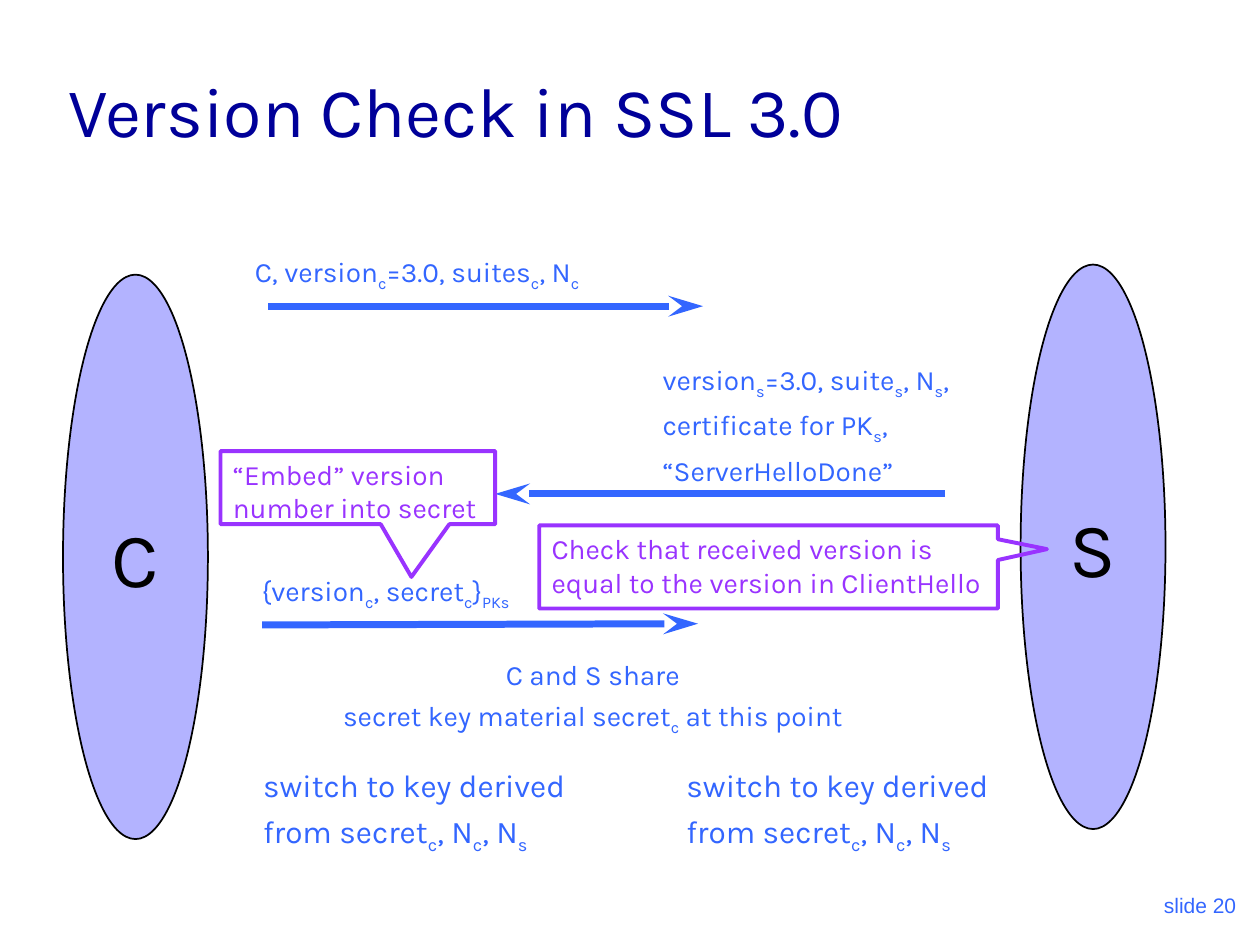
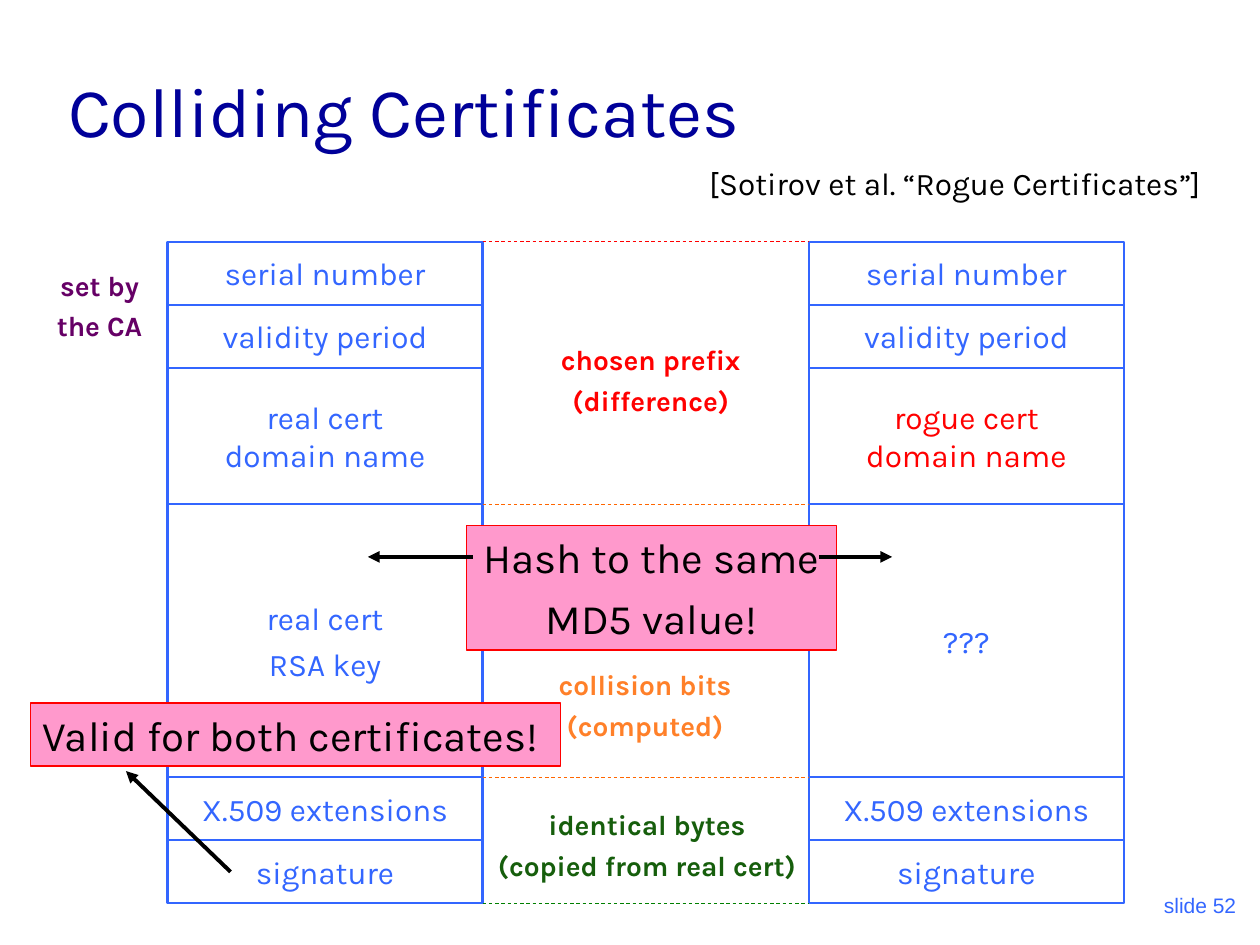
from itertools import accumulate

from lxml import etree
from pptx import Presentation
from pptx.dml.color import RGBColor
from pptx.enum.dml import MSO_LINE
from pptx.enum.shapes import MSO_CONNECTOR, MSO_SHAPE as Shape
from pptx.enum.text import MSO_ANCHOR as Anchor, PP_ALIGN as Align
from pptx.oxml.ns import qn
from pptx.util import Inches, Pt

BLUE, NAVY, LILAC, VIOLET = "3366FF", "000099", "B3B3FF", "9933FF"
BLACK, WHITE, RED, PINK = "000000", "FFFFFF", "FF0000", "FF99CC"
PLUM, ORANGE, GREEN = "660066", "FF8029", "165E0C"
FONT = "Karla"
LEFT, CENTER, RIGHT = Align.LEFT, Align.CENTER, Align.RIGHT

# Text between tildes is subscript. Boxes are left, top, width, height in inches.
PARTIES = [("C", (0.5, 2.18, 1.15, 4.48)), ("S", (8.1, 2.1, 1.15, 4.48))]
SWITCH_KEY = ["switch to key derived", "from secret~c~, N~c~, N~s~"]
MESSAGES = [  # paragraphs, box, size, alignment
    (["C, version~c~=3.0, suites~c~, N~c~"], (1.88, 1.97, 2.86, 0.41), 16, CENTER),
    (["version~s~=3.0, suite~s~, N~s~,", "certificate for PK~s~,", "“ServerHelloDone”"],
     (5.16, 2.83, 2.55, 1.09), 16, LEFT),
    (["{version~c~, secret~c~}~PKs~"], (1.95, 4.5, 2.22, 0.41), 16, CENTER),
    (["C and S share", "secret key material secret~c~ at this point"],
     (2.59, 5.17, 4.23, 0.73), 16, CENTER),
    (SWITCH_KEY, (1.99, 6.03, 2.67, 0.81), 18, LEFT),
    (SWITCH_KEY, (5.35, 6.03, 2.67, 0.81), 18, LEFT),
]
MESSAGE_ARROWS = [  # from, to
    ((2.13, 2.43), (5.58, 2.43)),
    ((7.5, 3.92), (3.93, 3.92)),
    ((2.08, 4.96), (5.54, 4.95)),
]
CALLOUTS = [  # text, box, offset of the tip from the centre
    ("“Embed” version number into secret", (1.75, 3.58, 2.18, 0.58), (0.195, 1.223)),
    ("Check that received version is equal to the version in ClientHello",
     (4.28, 4.17, 3.64, 0.66), (0.607, -0.214)),
]

CERTIFICATE_TOP, CERTIFICATE_WIDTH = 1.92, 2.5
REAL_LEFT, ROGUE_LEFT = 1.33, 6.42
ROWS = [  # height, real certificate, rogue certificate, rogue text colour
    (0.5, ["serial number"], ["serial number"], BLUE),
    (0.5, ["validity period"], ["validity period"], BLUE),
    (1.08, ["real cert\ndomain name"], ["rogue cert\ndomain name"], RED),
    (2.17, ["real cert", "RSA key"], ["???"], BLUE),
    (0.5, ["X.509 extensions"], ["X.509 extensions"], BLUE),
    (0.5, ["signature"], ["signature"], BLUE),
]
SECTION_EDGES = [(0, RED), (3, "FF6600"), (4, "FF6600"), (6, "008000")]  # row edge, colour
SECTION_LABELS = [
    (["identical bytes", "(copied from real cert)"], (3.8, 6.36, 2.67, 0.69), GREEN),
    (["collision bits", "(computed)"], (4.33, 5.25, 1.58, 0.69), ORANGE),
    (["chosen prefix", "(difference)"], (4.32, 2.67, 1.69, 0.69), RED),
    (["set by", "the CA"], (0.33, 2.08, 0.92, 0.69), PLUM),
]
CITATION = ["[Sotirov et al. “Rogue Certificates”]"]
REMARKS = [
    (["Hash to the same", "MD5 value!"], (3.7, 4.17, 2.94, 0.99), CENTER),
    (["Valid for both certificates!"], (0.24, 5.58, 4.21, 0.5), LEFT),
]
REMARK_ARROWS = [
    ((6.5, 4.42), (7.08, 4.42)),
    ((1.83, 6.92), (1, 6.12)),
    ((3.75, 4.42), (2.92, 4.42)),
]


def rgb(color):
    return RGBColor.from_string(color)


def add_run(paragraph, text, size, color, bold, font, subscript):
    run = paragraph.add_run()
    run.text = text
    run.font.name = font
    run.font.size = Pt(size)
    run.font.bold = bold
    run.font.color.rgb = rgb(color)
    if subscript:
        run._r.get_or_add_rPr().set("baseline", "-25000")


def write(shape, paragraphs, size, color, align=LEFT, anchor=Anchor.TOP,
          bold=False, font=FONT, wrap=False):
    """Fill a shape with text; tildes enclose subscripts, a newline breaks the line."""
    frame = shape.text_frame
    frame.word_wrap = wrap
    frame.vertical_anchor = anchor
    for index, text in enumerate(paragraphs):
        paragraph = frame.add_paragraph() if index else frame.paragraphs[0]
        paragraph.alignment = align
        paragraph.space_before = Pt(size / 4 if index else 0)
        for line_index, line in enumerate(text.split("\n")):
            if line_index:
                paragraph.add_line_break()
            for part_index, part in enumerate(line.split("~")):
                if part:
                    add_run(paragraph, part, size, color, bold, font, part_index % 2 == 1)


def add_text(slide, box, paragraphs, size, color, **style):
    textbox = slide.shapes.add_textbox(*map(Inches, box))
    write(textbox, paragraphs, size, color, **style)


def add_shape(slide, kind, box, fill=None, line=None, line_width=1.0):
    shape = slide.shapes.add_shape(kind, *map(Inches, box))
    shape.shadow.inherit = False
    if fill:
        shape.fill.solid()
        shape.fill.fore_color.rgb = rgb(fill)
    else:
        shape.fill.background()
    if line:
        shape.line.color.rgb = rgb(line)
        shape.line.width = Pt(line_width)
    else:
        shape.line.fill.background()
    return shape


def add_line(slide, start, end, color, width, dashed=False, arrow=None, arrow_length="med"):
    connector = slide.shapes.add_connector(
        MSO_CONNECTOR.STRAIGHT, *map(Inches, (*start, *end)))
    connector.line.color.rgb = rgb(color)
    connector.line.width = Pt(width)
    if dashed:
        connector.line.dash_style = MSO_LINE.DASH
    if arrow:
        etree.SubElement(connector.line._get_or_add_ln(), qn("a:tailEnd"),
                         type=arrow, w="med", len=arrow_length)
    etree.SubElement(connector._element.spPr, qn("a:effectLst"))


def start_slide(presentation, title_text, number):
    """Add a slide with the shared title and slide number."""
    slide = presentation.slides.add_slide(presentation.slide_layouts[5])
    title = slide.shapes.title
    title.left, title.top, title.width, title.height = map(Inches, (0.44, 0.25, 8.5, 1))
    write(title, [title_text], 40, NAVY, anchor=Anchor.BOTTOM, wrap=True)
    add_text(slide, (7.83, 6.83, 2.08, 0.5), [f"slide {number}"], 12, BLUE,
             align=RIGHT, anchor=Anchor.BOTTOM, font="Arial", wrap=True)
    return slide


def build_version_check(presentation):
    slide = start_slide(presentation, "Version Check in SSL 3.0", 20)
    for name, box in PARTIES:
        party = add_shape(slide, Shape.OVAL, box, LILAC, BLACK)
        write(party, [name], 44, BLACK, align=CENTER, anchor=Anchor.MIDDLE)
    for start, end in MESSAGE_ARROWS:
        add_line(slide, start, end, BLUE, 4, arrow="stealth", arrow_length="lg")
    for paragraphs, box, size, align in MESSAGES:
        add_text(slide, box, paragraphs, size, BLUE, align=align)
    for text, box, tip in CALLOUTS:
        callout = add_shape(slide, Shape.RECTANGULAR_CALLOUT, box, None, VIOLET, 2.25)
        callout.adjustments[0], callout.adjustments[1] = tip
        write(callout, [text], 16, VIOLET, wrap=True)


def build_colliding_certificates(presentation):
    slide = start_slide(presentation, "Colliding Certificates", 52)
    edges = list(accumulate((row[0] for row in ROWS), initial=CERTIFICATE_TOP))
    for top, (height, real, rogue, rogue_color) in zip(edges, ROWS):
        for left, paragraphs, color in ((REAL_LEFT, real, BLUE),
                                        (ROGUE_LEFT, rogue, rogue_color)):
            field = add_shape(slide, Shape.RECTANGLE,
                              (left, top, CERTIFICATE_WIDTH, height), None, BLUE, 1.25)
            write(field, paragraphs, 18, color, align=CENTER, anchor=Anchor.MIDDLE)
    for edge, color in SECTION_EDGES:
        add_line(slide, (REAL_LEFT + CERTIFICATE_WIDTH, edges[edge]),
                 (ROGUE_LEFT, edges[edge]), color, 0.5, dashed=True)
    for paragraphs, box, color in SECTION_LABELS:
        add_text(slide, box, paragraphs, 16, color, align=CENTER, bold=True)
    citation = add_shape(slide, Shape.RECTANGLE, (5.53, 1.25, 4.2, 0.4), WHITE)
    write(citation, CITATION, 18, BLACK)
    for paragraphs, box, align in REMARKS:
        remark = add_shape(slide, Shape.RECTANGLE, box, PINK, RED, 0.75)
        write(remark, paragraphs, 24, BLACK, align=align)
    for start, end in REMARK_ARROWS:
        add_line(slide, start, end, BLACK, 2.25, arrow="triangle")


def main():
    presentation = Presentation()
    presentation.slide_width, presentation.slide_height = Inches(10), Inches(7.5)
    build_version_check(presentation)
    build_colliding_certificates(presentation)
    presentation.save("out.pptx")


if __name__ == "__main__":
    main()
